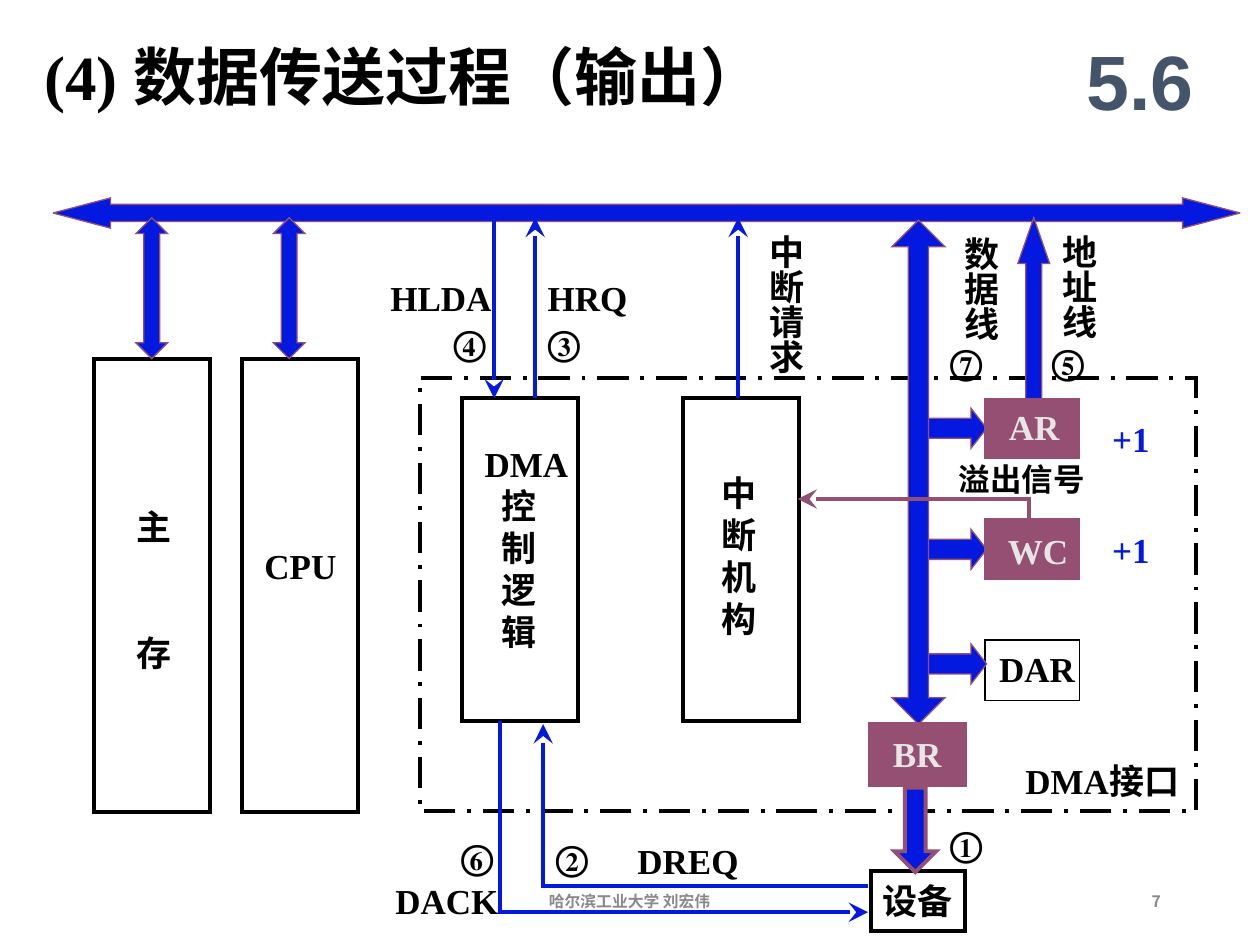
from dataclasses import dataclass
from typing import Optional

from lxml import etree
from pptx import Presentation
from pptx.dml.color import RGBColor
from pptx.enum import dml, shapes, text
from pptx.oxml.ns import qn
from pptx.util import Cm, Pt

SHAPE = shapes.MSO_SHAPE
ALIGN = text.PP_ALIGN


@dataclass(frozen=True)
class Theme:
    black: str = "000000"
    blue: str = "0419E0"
    plum: str = "954F72"
    pale: str = "E7E6E6"
    slate: str = "44546A"
    grey: str = "898989"
    serif: str = "Times New Roman"
    sans: str = "Arial"
    chinese: str = "Noto Sans CJK SC"
    title: float = 36
    section: float = 44
    label: float = 20
    small_label: float = 18
    footer: float = 9
    thin: float = 0.75
    thick: float = 2.25


THEME = Theme()


@dataclass(frozen=True)
class Block:
    """A preset shape; lengths in centimetres."""
    x: float
    y: float
    w: float
    h: float
    kind: int = SHAPE.RECTANGLE
    fill: Optional[str] = None
    line: str = THEME.black
    weight: float = THEME.thick
    adjust: tuple[float, ...] = ()
    rotation: float = 0
    dash: Optional[int] = None


@dataclass(frozen=True)
class Label:
    """Text with one paragraph per line; lengths in centimetres."""
    words: str
    x: float
    y: float
    w: float
    h: float = 1.12
    size: float = THEME.label
    color: str = THEME.black
    font: str = THEME.serif
    asian: str = THEME.chinese
    align: Optional[int] = None
    wrap: bool = False
    middle: bool = False
    vertical: bool = False
    indent: float = 0
    gap: float = 0


@dataclass(frozen=True)
class Signal:
    """A route ending in an arrowhead; points in centimetres."""
    points: tuple[tuple[float, float], ...]
    color: str = THEME.blue


def arrow(x: float, y: float, w: float, h: float, kind: int, *adjust: float,
          weight: float = THEME.thin, rotation: float = 0) -> Block:
    return Block(x, y, w, h, kind, THEME.blue, THEME.plum, weight, adjust, rotation)


def register(y: float, x: float = 19.86, weight: float = THEME.thin) -> Block:
    return Block(x, y, 1.9, 1.22, fill=THEME.plum, line=THEME.plum, weight=weight)


def mark(number: str, x: float, y: float) -> Label:
    """Circled step number."""
    return Label(number, x, y, 1.22, asian=THEME.serif)


def upright(words: str, x: float, y: float, h: float) -> Label:
    return Label(words, x, y, 1.35, h, vertical=True)


BLOCKS = [
    Block(17.55, 17.55, 1.9, 1.22),
    Block(9.32, 8.03, 2.34, 6.5),
    Block(13.77, 8.03, 2.34, 6.5),
    Block(19.86, 12.9, 1.9, 1.22, weight=THEME.thin),
    Block(8.46, 7.62, 15.65, 8.74, dash=dml.MSO_LINE.LONG_DASH_DOT),
    *(Block(x, 7.24, 2.34, 9.14) for x in (1.9, 4.88)),
    arrow(1.07, 3.99, 23.93, 0.61, SHAPE.LEFT_RIGHT_ARROW, 0.57, 1.9),
    *(arrow(18.62, y, 1.27, 0.81, SHAPE.RIGHT_ARROW, 0.5, 0.39)
      for y in (8.23, 10.67, 12.98)),
    *(arrow(x, 4.39, 0.64, 2.84, SHAPE.UP_DOWN_ARROW, 0.89, 0.5) for x in (5.51, 2.74)),
    arrow(17.98, 4.44, 1.07, 10.16, SHAPE.UP_DOWN_ARROW, 0.7, 0.38),
    arrow(20.52, 4.39, 0.64, 3.66, SHAPE.UP_ARROW, 0.5, 1.44),
    arrow(18.03, 15.88, 0.84, 1.7, SHAPE.UP_ARROW, 0.5, 0.5,
          weight=THEME.thick, rotation=180),
]

SIGNALS = [
    Signal(((17.5, 17.86), (10.95, 17.86), (10.95, 14.6))),
    Signal(((10.08, 14.53), (10.08, 18.39), (17.5, 18.39))),
    Signal(((20.75, 10.46), (20.75, 10.06), (16.08, 10.06)), THEME.plum),
    Signal(((10.79, 8.03), (10.79, 4.39))),
    Signal(((9.96, 4.39), (9.96, 8.03))),
    Signal(((14.88, 8.03), (14.88, 4.39))),
]

REGISTERS = [register(8.03), register(10.46), register(14.6, x=17.55, weight=3)]

LABELS = [
    Label("(4) 数据传送过程（输出）", 0.64, 0.62, 15.88, 1.78, THEME.title, wrap=True),
    Label("5.6", 21.39, 0.43, 3.18, 2.34, THEME.section, THEME.slate, THEME.sans,
          align=ALIGN.CENTER, wrap=True, middle=True),
    Label("主\n存", 2.51, 10.06, 1.22, 3.66, gap=48),
    Label("CPU", 5.08, 10.85, 1.96),
    Label("DMA\n控\n制\n逻\n辑", 9.52, 8.79, 2.18, 4.5, indent=0.35),
    Label("中\n断\n机\n构", 14, 9.37, 1.52, 3.66, indent=0.3),
    Label("HLDA", 7.62, 5.44, 2.54),
    Label("HRQ", 10.79, 5.44, 2.11),
    Label("DREQ", 12.6, 16.79, 2.54),
    Label("DACK", 7.72, 17.6, 2.59),
    Label("DMA接口", 20.42, 15.19, 3.78),
    Label("设备", 17.55, 17.6, 1.9),
    Label("DAR", 19.89, 12.93, 2.03),
    Label("AR", 20.09, 8.05, 1.52, color=THEME.pale),
    Label("WC", 20.07, 10.54, 1.73, color=THEME.pale),
    Label("BR", 17.75, 14.63, 1.47, color=THEME.pale),
    *(Label("+1", 22.17, y, 1.27, color=THEME.blue) for y in (8.28, 10.52)),
    Label("溢出信号", 19.08, 9.14, 3.05, 1.02, THEME.small_label),
    upright("中断请求", 15.04, 4.6, 3.1),
    upright("数据线", 18.97, 4.65, 2.39),
    upright("地址线", 20.95, 4.6, 2.39),
    mark("①", 18.9, 16.46),
    mark("②", 10.95, 16.74),
    mark("③", 10.79, 6.35),
    mark("④", 8.89, 6.35),
    mark("⑤", 20.95, 6.73),
    mark("⑥", 9.04, 16.71),
    mark("⑦", 18.9, 6.73),
    Label("7", 17.93, 17.65, 5.72, 1.02, THEME.footer, THEME.grey, THEME.chinese,
          align=ALIGN.RIGHT, wrap=True, middle=True),
    Label("哈尔滨工业大学 刘宏伟", 8.41, 17.65, 8.56, 1.02, THEME.footer, THEME.grey,
          THEME.chinese, align=ALIGN.CENTER, wrap=True, middle=True),
]


def draw_block(slide, block: Block) -> None:
    shape = slide.shapes.add_shape(
        block.kind, Cm(block.x), Cm(block.y), Cm(block.w), Cm(block.h))
    shape.shadow.inherit = False
    shape.rotation = block.rotation
    for index, value in enumerate(block.adjust):
        shape.adjustments[index] = value
    if block.fill:
        shape.fill.solid()
        shape.fill.fore_color.rgb = RGBColor.from_string(block.fill)
    else:
        shape.fill.background()
    shape.line.color.rgb = RGBColor.from_string(block.line)
    shape.line.width = Pt(block.weight)
    if block.dash:
        shape.line.dash_style = block.dash
    etree.SubElement(shape.line._get_or_add_ln(), qn("a:miter"), lim="800000")


def draw_signal(slide, signal: Signal) -> None:
    points = [(Cm(x), Cm(y)) for x, y in signal.points]
    if len(points) == 2:
        route = slide.shapes.add_connector(
            shapes.MSO_CONNECTOR.STRAIGHT, *points[0], *points[1])
    else:
        builder = slide.shapes.build_freeform(*points[0])
        builder.add_line_segments(points[1:], close=False)
        route = builder.convert_to_shape()
        route.fill.background()
    route.line.color.rgb = RGBColor.from_string(signal.color)
    route.line.width = Pt(THEME.thick)
    line = route.line._get_or_add_ln()
    etree.SubElement(line, qn("a:miter"), lim="800000")
    etree.SubElement(line, qn("a:tailEnd"), type="stealth", w="lg", len="lg")
    etree.SubElement(route._element.spPr, qn("a:effectLst"))


def draw_label(slide, label: Label) -> None:
    frame = slide.shapes.add_textbox(
        Cm(label.x), Cm(label.y), Cm(label.w), Cm(label.h)).text_frame
    frame.word_wrap = label.wrap
    if not label.middle:
        frame.auto_size = text.MSO_AUTO_SIZE.SHAPE_TO_FIT_TEXT
    side = Cm(0.13 if label.vertical else 0.25)
    frame.margin_left = side
    frame.margin_right = side if label.wrap or label.vertical else 0
    frame.margin_top = Cm(0.13)
    frame.margin_bottom = 0 if label.vertical else Cm(0.13)
    if label.middle:
        frame.vertical_anchor = text.MSO_ANCHOR.MIDDLE
    if label.vertical:
        frame._txBody.bodyPr.set("vert", "eaVert")
    frame.text = label.words
    for index, paragraph in enumerate(frame.paragraphs):
        paragraph.alignment = label.align
        if index and label.gap:
            paragraph.space_before = Pt(label.gap)
        if label.indent and not paragraph.text.isascii():
            paragraph._p.get_or_add_pPr().set("marL", str(Cm(label.indent)))
        for run in paragraph.runs:
            run.font.name = label.font
            run.font.size = Pt(label.size)
            run.font.bold = True
            run.font.color.rgb = RGBColor.from_string(label.color)
            etree.SubElement(run.font._element, qn("a:ea"), typeface=label.asian)


def main() -> None:
    deck = Presentation()
    deck.slide_width, deck.slide_height = Cm(25.4), Cm(19.05)
    slide = deck.slides.add_slide(deck.slide_layouts[6])
    for block in BLOCKS:
        draw_block(slide, block)
    for signal in SIGNALS:
        draw_signal(slide, signal)
    for block in REGISTERS:
        draw_block(slide, block)
    for label in LABELS:
        draw_label(slide, label)
    deck.save("out.pptx")


if __name__ == "__main__":
    main()
